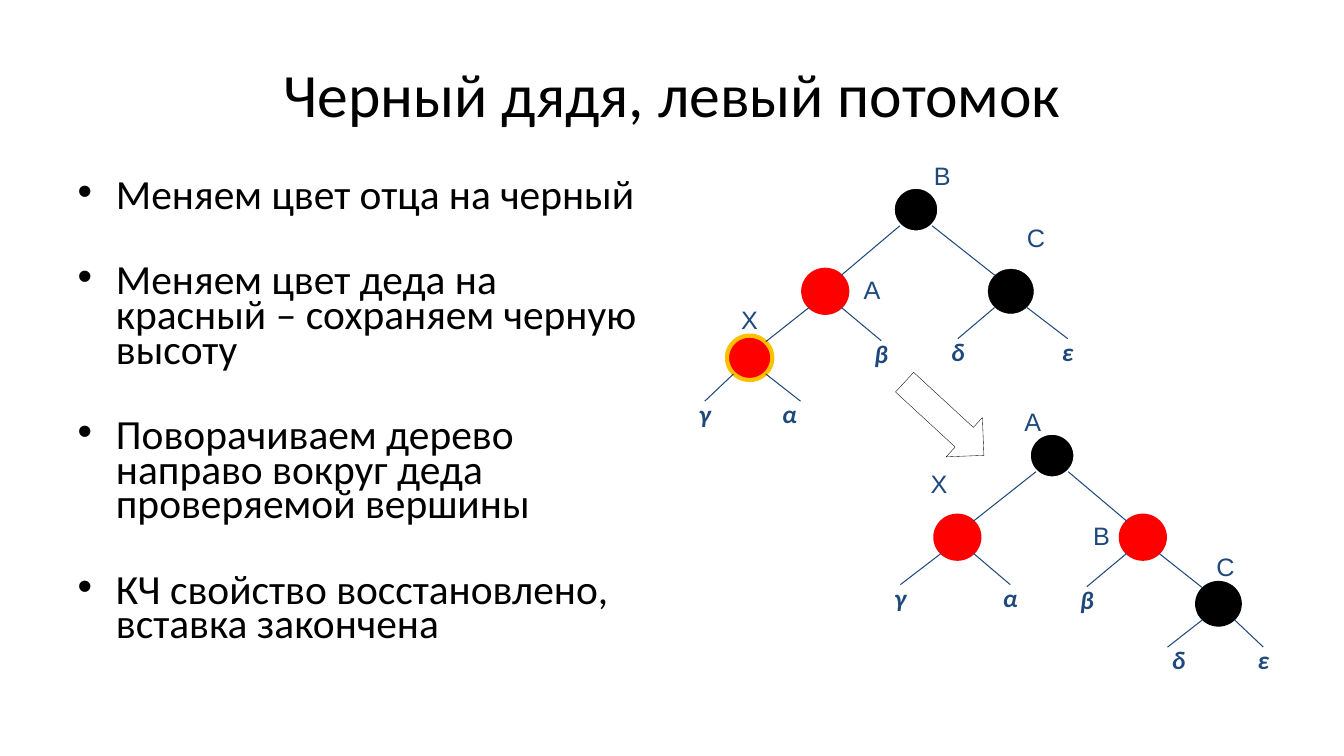
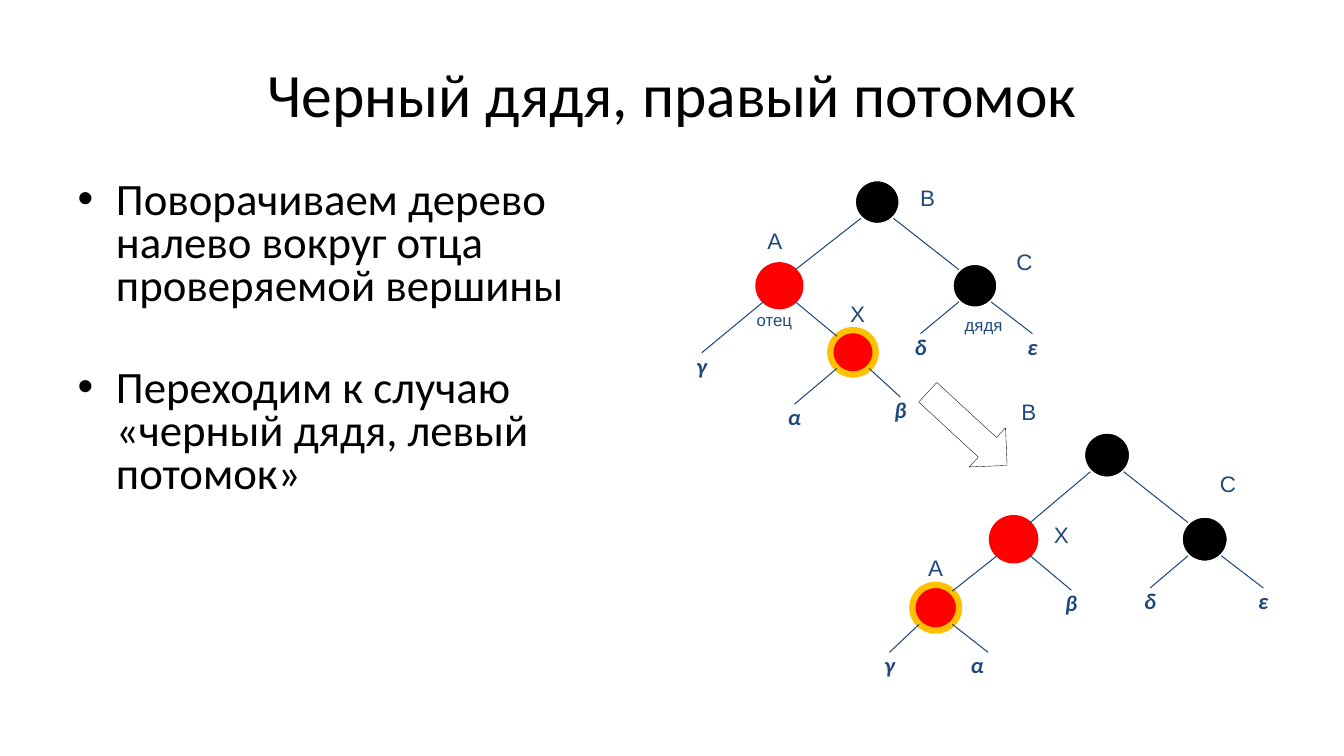
from collections import namedtuple
from math import copysign

from lxml.etree import SubElement
from pptx import Presentation
from pptx.dml.color import RGBColor
from pptx.enum.shapes import MSO_CONNECTOR as LINE, MSO_SHAPE as SHAPE
from pptx.enum.text import MSO_ANCHOR as ANCHOR, MSO_AUTO_SIZE as FIT, PP_ALIGN as ALIGN
from pptx.oxml.ns import qn
from pptx.util import Emu, Inches, Pt

CELL = Inches(7.5) / 75  # square grid: 75 rows, 133.3 columns
INK, BLUE, RED, GOLD, WHITE = "000000", "1F497D", "FF0000", "FFC000", "FFFFFF"

# Vertex styles: fill, ring colour, ring width
BLACK = (INK, WHITE, 2)
THIN = (INK, INK, 0.25)
SOLID = (INK, INK, 1)
RED_NODE = (RED, RED, 2)
CHECKED = (RED, GOLD, 3)
CHECKED_BOLD = (RED, GOLD, 4.5)

# spots: offsets from the root; branches: parent and child;
# leaves: parent, offset from it, sideways shift of the letter
Layout = namedtuple("Layout", "spots branches leaves")
Vertex = namedtuple("Vertex", "name style dx dy")

BRANCHES = [("root", "father"), ("root", "uncle"), ("father", "low")]
STRAIGHT = Layout(
    {"root": (0, 0), "father": (-9, 8.1), "uncle": (9.4, 8.1), "low": (-16.5, 14.7)},
    BRANCHES,
    [("low", -4.45, 4.3, 0), ("low", 5.05, 4.3, -1.1), ("father", 5.55, 4.9, 0),
     ("uncle", -5.25, 4.7, 0), ("uncle", 5.65, 4.7, 0)])
BENT = Layout(
    {"root": (0, 0), "father": (-9.7, 8.3), "uncle": (9.7, 8.3), "low": (-2.4, 14.9)},
    BRANCHES,
    [("father", -7.7, 6.65, 0), ("low", -5.8, 5.15, 0), ("low", 4.7, 4.45, 0),
     ("uncle", -5.4, 4.75, 0), ("uncle", 5.7, 4.75, 0)])


def rgb(code):
    return RGBColor.from_string(code)


def cells(*counts):
    return [Emu(round(n * CELL)) for n in counts]


class Deck:
    def __init__(self):
        self.prs = Presentation()
        self.prs.slide_width, self.prs.slide_height = Inches(13.33), Inches(7.5)
        self.s = None

    def place(self, sp, x, y, w, h):
        sp.left, sp.top, sp.width, sp.height = cells(x, y, w, h)

    def run(self, p, text, size, color=INK, font="Calibri", strong=False):
        r = p.add_run()
        r.text = text
        r.font.name, r.font.size = font, Pt(size)
        r.font.color.rgb = rgb(color)
        r.font.bold = r.font.italic = strong

    def slide(self, title):
        self.s = self.prs.slides.add_slide(self.prs.slide_layouts[1])
        sp = self.s.shapes.title
        self.place(sp, 6.7, 3, 120, 12.5)
        tf = sp.text_frame
        tf.vertical_anchor, tf.auto_size = ANCHOR.MIDDLE, FIT.NONE
        p = tf.paragraphs[0]
        p.alignment = ALIGN.CENTER
        self.run(p, title, 44)

    def bullets(self, items, size, spacing, gap):
        sp = self.s.placeholders[1]
        self.place(sp, 6.7, 17.5, 58.9, 49.5)
        tf = sp.text_frame
        tf.auto_size = FIT.NONE
        for i, item in enumerate(items):
            p = tf.add_paragraph() if i else tf.paragraphs[0]
            p.line_spacing = spacing
            p.space_before = Pt(gap if i else 0)
            pPr = p._p.get_or_add_pPr()
            indent = Inches(0.38)
            pPr.set("marL", str(indent))
            pPr.set("indent", str(-indent))
            SubElement(pPr, qn("a:buFont"), typeface="Arial")
            SubElement(pPr, qn("a:buChar"), char="•")
            self.run(p, item, size)

    def label(self, x, y, text, size, font="Arial", strong=False):
        """Text centred on a point."""
        sp = self.s.shapes.add_textbox(*cells(x - 3, y - 2, 6, 4))
        tf = sp.text_frame
        tf.word_wrap, tf.vertical_anchor = True, ANCHOR.MIDDLE
        tf.margin_left = tf.margin_right = tf.margin_top = tf.margin_bottom = 0
        p = tf.paragraphs[0]
        p.alignment = ALIGN.CENTER
        self.run(p, text, size, BLUE, font, strong)

    def vertex(self, x, y, style, scale):
        w, h = 4.5 * scale, 4.4 * scale
        sp = self.s.shapes.add_shape(SHAPE.OVAL, *cells(x - w / 2, y - h / 2, w, h))
        fill, ring, width = style
        sp.shadow.inherit = False
        sp.fill.solid()
        sp.fill.fore_color.rgb = rgb(fill)
        sp.line.color.rgb = rgb(ring)
        sp.line.width = Pt(width)

    def edge(self, start, end):
        ln = self.s.shapes.add_connector(LINE.STRAIGHT, *cells(*start, *end))
        ln.line.color.rgb = rgb(BLUE)
        ln.line.width = Pt(0.75)
        SubElement(ln._element.spPr, qn("a:effectLst"))

    def tree(self, layout, x, y, vertices, letters, size, scale=1, mirror=1):
        """Draw a tree from its root; mirror=-1 swaps left and right."""
        spots = {key: (x + dx * scale * mirror, y + dy * scale)
                 for key, (dx, dy) in layout.spots.items()}
        rim = 1.6 * scale
        for key, v in vertices.items():
            vx, vy = spots[key]
            self.vertex(vx, vy, v.style, scale)
            self.label(vx + v.dx, vy + v.dy, v.name, size)
        for parent, child in layout.branches:
            (px, py), (cx, cy) = spots[parent], spots[child]
            side = copysign(rim, cx - px)
            self.edge((px + side, py + rim), (cx - side, cy - rim))
        for (parent, dx, dy, shift), letter in zip(layout.leaves, letters):
            px, py = spots[parent]
            lx, ly = px + dx * scale * mirror, py + dy * scale
            self.edge((px + copysign(rim, lx - px), py + rim), (lx, ly))
            self.label(lx + shift * mirror, ly + 1.25, letter, size, "Calibri", True)

    def step_arrow(self, x, y):
        sp = self.s.shapes.add_shape(SHAPE.RIGHT_ARROW, *cells(x, y, 10.7, 5.3))
        sp.rotation = 42.7
        sp.shadow.inherit = False
        sp.fill.background()
        sp.line.color.rgb = rgb(INK)
        sp.line.width = Pt(0.25)


def main():
    deck = Deck()

    deck.slide("Черный дядя, левый потомок")
    deck.bullets(["Меняем цвет отца на черный",
                  "Меняем цвет деда на красный – сохраняем черную высоту",
                  "Поворачиваем дерево направо вокруг деда проверяемой вершины",
                  "КЧ свойство восстановлено, вставка закончена"], 29.6, 0.7, 36)
    deck.tree(STRAIGHT, 90.85, 20.8, {
        "root": Vertex("B", BLACK, 2.6, -3.4),
        "father": Vertex("A", RED_NODE, 4.65, -0.2),
        "uncle": Vertex("C", THIN, 2.5, -5.3),
        "low": Vertex("X", CHECKED, 0, -3.8)}, "γαβδε", 18)
    deck.tree(STRAIGHT, 104.35, 45.2, {
        "root": Vertex("A", BLACK, -1.9, -3.4),
        "father": Vertex("B", RED_NODE, -4.1, -0.2),
        "uncle": Vertex("X", RED_NODE, -1.8, -5.3),
        "low": Vertex("C", SOLID, 0.7, -3.7)}, "εδβαγ", 18, mirror=-1)
    deck.step_arrow(88.3, 38.9)

    deck.slide("Черный дядя, правый потомок")
    deck.bullets(["Поворачиваем дерево налево вокруг отца проверяемой вершины",
                  "Переходим к случаю «черный дядя, левый потомок»"], 32, 0.8, 42)
    deck.tree(STRAIGHT, 109.8, 45.15, {
        "root": Vertex("B", BLACK, -7.75, -4.3),
        "father": Vertex("X", RED_NODE, 4.75, -0.5),
        "uncle": Vertex("C", BLACK, 2.3, -5.5),
        "low": Vertex("A", CHECKED_BOLD, 0, -4)}, "γαβδε", 16, scale=1.03)
    deck.tree(BENT, 87, 20.05, {
        "root": Vertex("B", BLACK, 5, -0.5),
        "father": Vertex("A", RED_NODE, -0.45, -4.45),
        "uncle": Vertex("C", BLACK, 4.9, -2.4),
        "low": Vertex("X", CHECKED_BOLD, 0.45, -3.85)}, "γαβδε", 16)
    deck.label(76.8, 31.7, "отец", 12)
    deck.label(97.55, 32.2, "дядя", 12)
    deck.step_arrow(90.6, 39.9)

    deck.prs.save("out.pptx")


if __name__ == "__main__":
    main()
